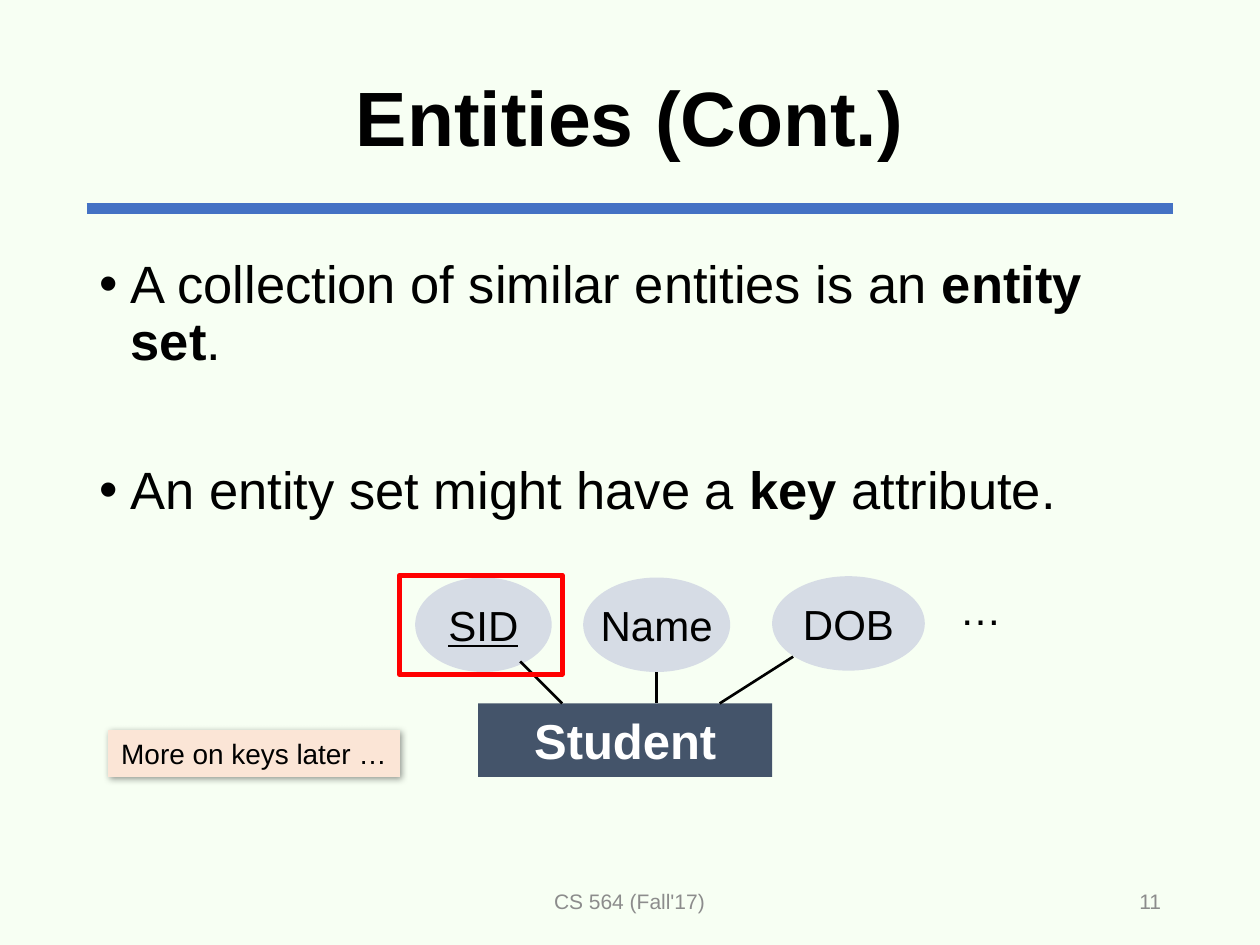
from lxml.etree import SubElement
from pptx import Presentation
from pptx.dml.color import RGBColor
from pptx.enum.shapes import MSO_CONNECTOR, MSO_SHAPE
from pptx.enum.text import MSO_ANCHOR, PP_ALIGN
from pptx.oxml.ns import qn
from pptx.util import Pt


def color(hex_code):
    """Turn a hex string into a colour."""
    return RGBColor.from_string(hex_code)


def place(shape, left, top, width, height):
    """Move and size a shape in points."""
    shape.left, shape.top = Pt(left), Pt(top)
    shape.width, shape.height = Pt(width), Pt(height)


def write(shape, text, size=24, ink="000000", bold=False, underline=False,
          align=PP_ALIGN.CENTER, anchor=MSO_ANCHOR.MIDDLE, wrap=True,
          spacing=None, before=(0,), hanging=None):
    """Fill a shape with text, one paragraph a line, with *marked* words in bold."""
    frame = shape.text_frame
    frame.word_wrap, frame.vertical_anchor = wrap, anchor
    for index, line in enumerate(text.split("\n")):
        para = frame.add_paragraph() if index else frame.paragraphs[0]
        para.alignment, para.line_spacing = align, spacing
        para.space_before = Pt(before[index])
        if hanging:
            properties = para._p.get_or_add_pPr()
            properties.set("marL", str(Pt(hanging)))
            properties.set("indent", str(-Pt(hanging)))
        for order, part in enumerate(line.split("*")):
            span = para.add_run()
            span.text = part
            span.font.name, span.font.size = "Arial", Pt(size)
            span.font.bold = bold or order % 2 == 1
            span.font.underline = underline
            span.font.color.rgb = color(ink)


def add_label(page, box, text, **style):
    """Add a text box."""
    label = page.shapes.add_textbox(*map(Pt, box))
    write(label, text, **style)


def add_block(page, kind, box, fill=None, outline=None, weight=3):
    """Add a flat preset shape."""
    block = page.shapes.add_shape(kind, *map(Pt, box))
    block.shadow.inherit = False
    if fill:
        block.fill.solid()
        block.fill.fore_color.rgb = color(fill)
    else:
        block.fill.background()
    if outline:
        block.line.color.rgb = color(outline)
        block.line.width = Pt(weight)
    else:
        block.line.fill.background()
    return block


def add_line(page, start, end, ink, weight):
    """Add a straight line without a shadow."""
    line = page.shapes.add_connector(MSO_CONNECTOR.STRAIGHT, *map(Pt, start + end))
    line.line.color.rgb = color(ink)
    line.line.width = Pt(weight)
    SubElement(line._element.spPr, qn("a:effectLst"))


def add_heading(page, box):
    """Place the title and the rule under it."""
    left, top, width, height = box
    add_line(page, (left, top + 102.25), (left + width, top + 102.25), "4472C4", 6)
    place(page.shapes.title, *box)
    write(page.shapes.title, "Entities (Cont.)", size=44, bold=True, spacing=0.9)


def add_points(page, box):
    """Place the bulleted list."""
    body = page.placeholders[1]
    place(body, *box)
    write(body, "A collection of similar entities is an *entity set*.\n"
          "An entity set might have a *key *attribute.", size=30,
          align=PP_ALIGN.LEFT, anchor=MSO_ANCHOR.TOP, spacing=0.9,
          before=(10, 53), hanging=18)


def add_footer(page, box):
    """Place the course name and the page number."""
    left, top, width, height = box
    add_label(page, (left + 188.5, top, 243.5, height), "CS 564 (Fall'17)",
              size=12, ink="8C8C8C")
    add_label(page, (left + width - 162, top, 162, height), "11",
              size=12, ink="8C8C8C", align=PP_ALIGN.RIGHT)


def add_entity(page, box):
    """Draw the entity with its attributes and the highlighted key."""
    left, top, width, height = box
    entity_top = top + 72.75
    entity = add_block(page, MSO_SHAPE.RECTANGLE,
                       (left + 45, entity_top, 168, 42), "44546A")
    write(entity, "Student", size=28, ink="FFFFFF", bold=True, wrap=False)
    attributes = [("Name", 105, 0.75, 84), ("DOB", 213, 0, 87.25), ("SID", 9, 0.75, 78)]
    for name, across, down, wide in attributes:
        oval = add_block(page, MSO_SHAPE.OVAL,
                         (left + across, top + down, wide, 54), "D6DCE5")
        write(oval, name, underline=name == "SID", wrap=False)
    for foot, head, rise in [(93, 69, 24), (147, 147, 18), (183, 225, 26.75)]:
        add_line(page, (left + foot, entity_top),
                 (left + head, entity_top - rise), "000000", 1.5)
    add_block(page, MSO_SHAPE.RECTANGLE, (left, top - 0.5, 93, 56.5), outline="FF0000")
    add_label(page, (left + width - 32.5, top + 0.75, 32.5, 36), "…",
              align=PP_ALIGN.LEFT, anchor=MSO_ANCHOR.TOP, wrap=False)


def add_note(page, box):
    """Place the note with its soft shadow."""
    note = add_block(page, MSO_SHAPE.RECTANGLE, box, "FBE5D6")
    effects = note._element.spPr.find(qn("a:effectLst"))
    shadow = SubElement(effects, qn("a:outerShdw"), blurRad=str(Pt(4)),
                        dist=str(Pt(1)), dir="2700000", algn="tl", rotWithShape="0")
    shade = SubElement(shadow, qn("a:srgbClr"), val="000000")
    SubElement(shade, qn("a:alpha"), val="40000")
    write(note, "More on keys later …", size=16)


def build():
    """Build and save the deck."""
    deck = Presentation()
    deck.slide_width, deck.slide_height = Pt(720), Pt(540)
    page = deck.slides.add_slide(deck.slide_layouts[1])
    page.background.fill.solid()
    page.background.fill.fore_color.rgb = color("F7FFF3")
    margin, width = 49.5, 621
    add_heading(page, (margin, 17, width, 104.5))
    add_points(page, (margin, 144, width, 342.5))
    add_footer(page, (margin, 500.5, width, 28.75))
    add_entity(page, (228.25, 329.25, 345.5, 114.75))
    add_note(page, (61.75, 417.25, 166.75, 26.75))
    deck.save("out.pptx")


build()
